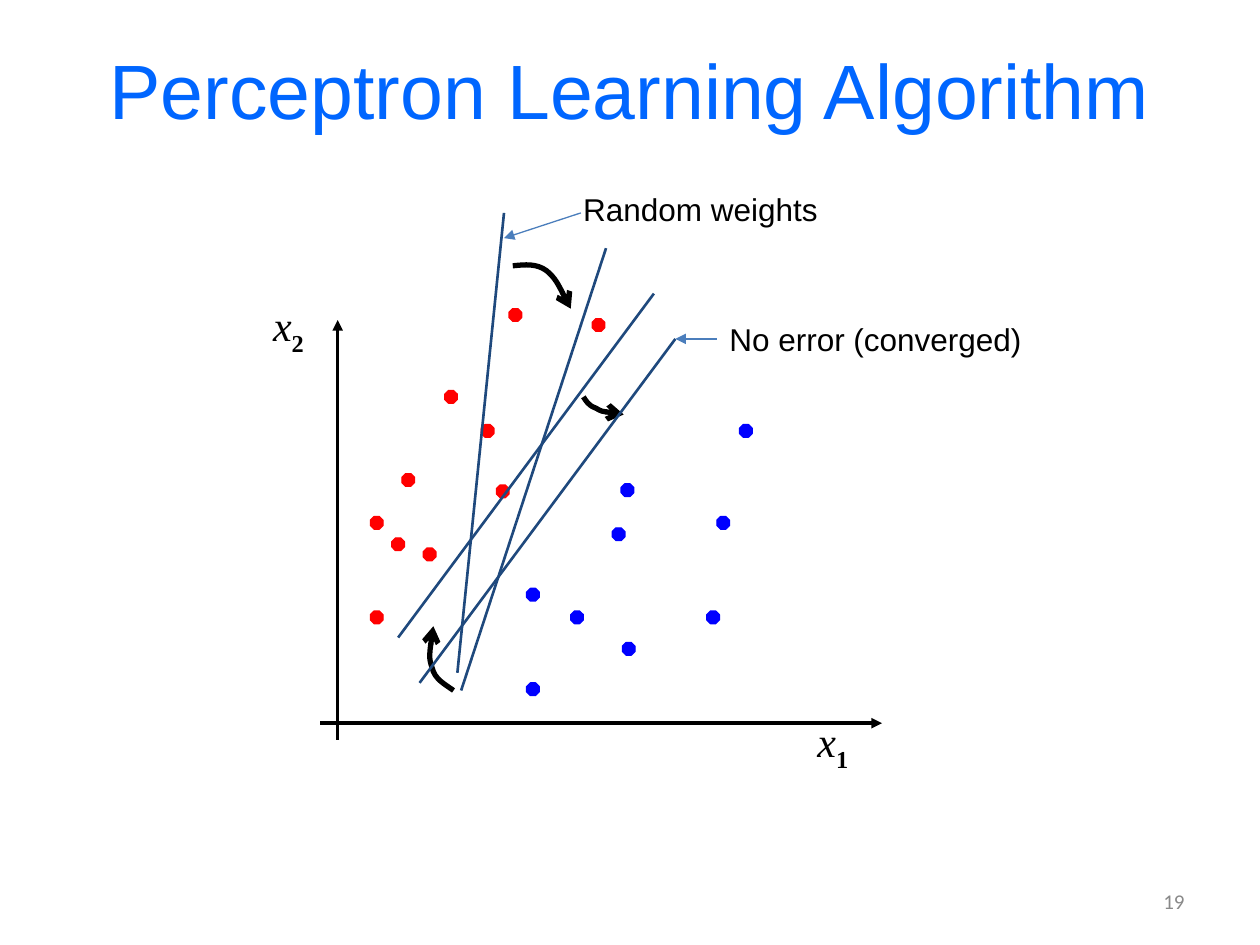
from lxml.etree import SubElement
from pptx import Presentation
from pptx.dml.color import RGBColor
from pptx.enum.shapes import MSO_CONNECTOR, MSO_SHAPE
from pptx.enum.text import MSO_ANCHOR, MSO_AUTO_SIZE, PP_ALIGN
from pptx.oxml.ns import qn
from pptx.util import Inches, Pt

COLORS = {
    "title": "0066FF", "text": "000000", "number": "898989",
    "red": "FF0000", "blue": "0000FF", "boundary": "1F497D", "pointer": "4B7EBC",
}
DOT = 0.1
RED_DOTS = [
    (1.82, 1.97), (1.19, 2.36), (1.36, 2.95), (0.94, 3.45), (1.53, 1.7),
    (0.94, 2.7), (1.11, 2.87), (1.94, 2.45), (2.04, 1.05), (2.7, 1.13),
]
BLUE_DOTS = [
    (2.93, 2.44), (2.53, 3.45), (3.61, 3.45), (2.18, 4.02), (2.86, 2.79),
    (2.18, 3.27), (2.94, 3.7), (3.69, 2.7), (3.87, 1.97),
]
AXES = [(0.68, 4.47, 0.68, 1.14), (0.54, 4.34, 5, 4.34)]
BOUNDARIES = [
    (1.63, 3.94, 2, 0.29), (1.66, 4.08, 2.81, 0.57),
    (1.16, 3.66, 3.19, 0.93), (1.33, 4.02, 3.36, 1.29),
]
POINTERS = [(2.61, 0.29, 2, 0.49), (3.69, 1.29, 3.36, 1.29)]
TURNS = [
    [(2.07, 0.71), (2.17, 0.7), (2.26, 0.69), (2.34, 0.75),
     (2.41, 0.81), (2.47, 0.93), (2.53, 1.05)],
    [(1.6, 4.08), (1.53, 4.03), (1.45, 3.99), (1.43, 3.9),
     (1.4, 3.82), (1.42, 3.69), (1.44, 3.57)],
    [(2.63, 1.75), (2.65, 1.78), (2.67, 1.82), (2.73, 1.84),
     (2.78, 1.87), (2.86, 1.88), (2.95, 1.89)],
]


def rgb(name):
    """Return the named colour."""
    return RGBColor.from_string(COLORS[name])


def add_run(p, text, size=18, font="Arial", color="text", bold=False, italic=False, baseline=0):
    """Add one formatted run to a paragraph."""
    r = p.add_run()
    r.text = text
    r.font.size = Pt(size)
    r.font.name = font
    r.font.bold = bold
    r.font.italic = italic
    r.font.color.rgb = rgb(color)
    if baseline:
        r._r.get_or_add_rPr().set("baseline", str(baseline * 1000))


def add_box(s, left, top, width, height, align=PP_ALIGN.LEFT):
    """Add an unwrapped text box and return its paragraph."""
    tf = s.shapes.add_textbox(Inches(left), Inches(top), Inches(width), Inches(height)).text_frame
    tf.word_wrap = False
    tf.auto_size = MSO_AUTO_SIZE.SHAPE_TO_FIT_TEXT
    tf.paragraphs[0].alignment = align
    return tf.paragraphs[0]


def style_line(sp, color, width, tail=None):
    """Set a line's colour, width and arrowhead."""
    sp.line.color.rgb = rgb(color)
    sp.line.width = Pt(width)
    if tail:
        SubElement(sp.line._get_or_add_ln(), qn("a:tailEnd"), type=tail)


def add_line(s, left, top, ends, color, width, tail=None):
    """Draw a straight line between two points of the plot."""
    x1, y1, x2, y2 = ends
    sp = s.shapes.add_connector(
        MSO_CONNECTOR.STRAIGHT, Inches(left + x1), Inches(top + y1),
        Inches(left + x2), Inches(top + y2))
    style_line(sp, color, width, tail)
    SubElement(sp._element.spPr, qn("a:effectLst"))


def add_dot(s, left, top, color):
    """Draw one sample as an octagon."""
    sp = s.shapes.add_shape(
        MSO_SHAPE.OCTAGON, Inches(left), Inches(top), Inches(DOT), Inches(DOT))
    sp.shadow.inherit = False
    sp.fill.solid()
    sp.fill.fore_color.rgb = rgb(color)
    style_line(sp, color, 0.75)


def add_turn(s, left, top, points):
    """Draw a curved arrow through cubic Bezier points."""
    start, *rest = [(Inches(left + x), Inches(top + y)) for x, y in points]
    builder = s.shapes.build_freeform(*start)
    builder.add_line_segments(rest, close=False)
    sp = builder.convert_to_shape()
    sp.shadow.inherit = False
    sp.fill.background()
    style_line(sp, "text", 3, "arrow")
    segments = list(sp._element.iter(qn("a:lnTo")))
    outline = segments[0].getparent()
    for i in range(0, len(segments), 3):
        curve = SubElement(outline, qn("a:cubicBezTo"))
        for segment in segments[i:i + 3]:
            curve.append(segment[0])
            outline.remove(segment)


def add_title(s, left, top, width, height):
    """Place the slide title."""
    title = s.shapes.title
    title.left, title.top = Inches(left), Inches(top)
    title.width, title.height = Inches(width), Inches(height)
    tf = title.text_frame
    tf.vertical_anchor = MSO_ANCHOR.MIDDLE
    p = tf.paragraphs[0]
    p.alignment = PP_ALIGN.CENTER
    add_run(p, "Perceptron Learning Algorithm", size=44, color="title")


def add_number(s, left, top, width, height):
    """Place the slide number."""
    tf = s.shapes.add_textbox(Inches(left), Inches(top), Inches(width), Inches(height)).text_frame
    tf.word_wrap = True
    tf.vertical_anchor = MSO_ANCHOR.MIDDLE
    tf.paragraphs[0].alignment = PP_ALIGN.RIGHT
    add_run(tf.paragraphs[0], "19", size=12, font="Calibri", color="number")


def add_plot(s, left, top):
    """Draw the axes, samples, decision boundaries and labels."""
    for ends in AXES:
        add_line(s, left, top, ends, "text", 2, "triangle")
    for color, dots in (("red", RED_DOTS), ("blue", BLUE_DOTS)):
        for x, y in dots:
            add_dot(s, left + x, top + y, color)
    for points in TURNS:
        add_turn(s, left, top, points)
    for ends in BOUNDARIES:
        add_line(s, left, top, ends, "boundary", 1.5)
    for ends in POINTERS:
        add_line(s, left, top, ends, "pointer", 0.75, "triangle")
    for index, x, y in (("2", 0.06, 0.93), ("1", 4.38, 4.23)):
        p = add_box(s, left + x, top + y, 0.46, 0.51, PP_ALIGN.CENTER)
        add_run(p, "x", size=24, font="Times New Roman", italic=True)
        add_run(p, index, size=24, font="Times New Roman", bold=True, baseline=-25)
    for text, x, y, width in (
            ("Random weights", 2.53, 0.06, 2.08), ("No error (converged)", 3.69, 1.09, 2.54)):
        add_run(add_box(s, left + x, top + y, width, 0.4), text)


def main():
    """Build and save the slide."""
    prs = Presentation()
    prs.slide_width, prs.slide_height = Inches(10), Inches(7.5)
    s = prs.slides.add_slide(prs.slide_layouts[5])
    add_title(s, 0.5, 0.08, 9, 1.25)
    add_plot(s, 2, 1.4)
    add_number(s, 7.17, 6.95, 2.33, 0.4)
    prs.save("out.pptx")


if __name__ == "__main__":
    main()
